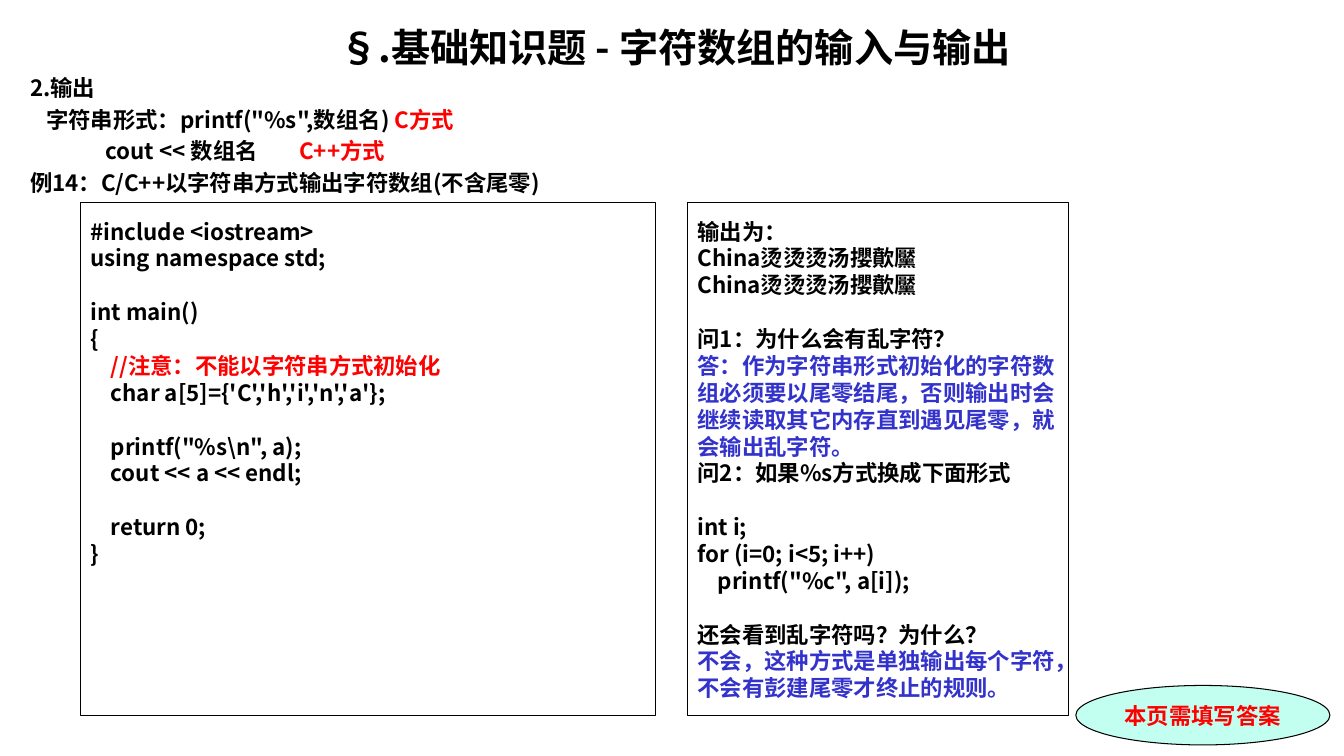
from lxml import etree
from pptx import Presentation
from pptx.dml.color import RGBColor
from pptx.enum import shapes, text
from pptx.oxml.ns import qn
from pptx.util import Inches, Pt

BLACK = RGBColor(0x00, 0x00, 0x00)
RED = RGBColor(0xFF, 0x00, 0x00)
BLUE = RGBColor(0x33, 0x33, 0xCC)
MINT = RGBColor(0xC2, 0xFF, 0xF0)
SANS = "Noto Sans CJK SC"
SERIF = "Times New Roman"
BODY = 16
LEADING = 1.2

# Each entry is one line: text, colour, and blank lines above it
PROGRAM = [
    ("#include <iostream>", BLACK, 0),
    ("using namespace std;", BLACK, 0),
    ("int main()", BLACK, 1),
    ("{", BLACK, 0),
    ("    //注意：不能以字符串方式初始化", RED, 0),
    ("    char a[5]={'C','h','i','n','a'};", BLACK, 0),
    ("    printf(\"%s\\n\", a);", BLACK, 1),
    ("    cout << a << endl;", BLACK, 0),
    ("    return 0;", BLACK, 1),
    ("}", BLACK, 0),
]
ANSWERS = [
    ("输出为：", BLACK, 0),
    ("China烫烫烫汤攖歕黶", BLACK, 0),
    ("China烫烫烫汤攖歕黶", BLACK, 0),
    ("问1：为什么会有乱字符？", BLACK, 1),
    ("答：作为字符串形式初始化的字符数", BLUE, 0),
    ("组必须要以尾零结尾，否则输出时会", BLUE, 0),
    ("继续读取其它内存直到遇见尾零，就", BLUE, 0),
    ("会输出乱字符。", BLUE, 0),
    ("问2：如果%s方式换成下面形式", BLACK, 0),
    ("int i;", BLACK, 1),
    ("for (i=0; i<5; i++)", BLACK, 0),
    ("    printf(\"%c\", a[i]);", BLACK, 0),
    ("还会看到乱字符吗？为什么？", BLACK, 1),
    ("不会，这种方式是单独输出每个字符，", BLUE, 0),
    ("不会有彭建尾零才终止的规则。", BLUE, 0),
]


def add_run(paragraph, words, size=BODY, color=BLACK, font=SANS):
    run = paragraph.add_run()
    run.text = words
    run.font.size = Pt(size)
    run.font.bold = True
    run.font.color.rgb = color
    run.font.name = font
    east_asian = etree.Element(qn("a:ea"), typeface=SANS)
    run.font._element.find(qn("a:latin")).addnext(east_asian)


def add_line(frame, *pieces, size=BODY, before=0, indent=0, tabs=(),
             align=text.PP_ALIGN.LEFT, font=SANS):
    """Write one paragraph from (words, colour) pieces."""
    first = frame.paragraphs[0]
    paragraph = frame.add_paragraph() if first.runs else first
    paragraph.alignment = align
    paragraph.line_spacing = Pt(size * LEADING)
    if before:
        paragraph.space_before = Pt(before)
    properties = paragraph._p.get_or_add_pPr()
    if indent:
        properties.set("marL", str(Inches(indent)))
        properties.set("indent", "0")
    if tabs:
        tab_list = etree.SubElement(properties, qn("a:tabLst"))
        for stop in tabs:
            etree.SubElement(tab_list, qn("a:tab"), pos=str(Inches(stop)), algn="l")
    for words, color in pieces:
        add_run(paragraph, words, size=size, color=color, font=font)


def add_outlined(slide, kind, left, top, width, height, fill=None):
    shape = slide.shapes.add_shape(
        kind, Inches(left), Inches(top), Inches(width), Inches(height))
    shape.shadow.inherit = False
    if fill is None:
        shape.fill.background()
    else:
        shape.fill.solid()
        shape.fill.fore_color.rgb = fill
    shape.line.color.rgb = BLACK
    shape.line.width = Pt(0.75)
    return shape


def add_listing(slide, left, width, lines):
    panel = add_outlined(slide, shapes.MSO_SHAPE.RECTANGLE, left, 2.01, width, 5.09)
    frame = panel.text_frame
    frame.word_wrap = False
    frame.vertical_anchor = text.MSO_ANCHOR.TOP
    frame.margin_top = Inches(0.15)
    for words, color, blanks in lines:
        add_line(frame, (words, color), before=blanks * BODY * LEADING)


def add_heading(slide):
    heading = slide.shapes.add_textbox(
        Inches(0.2), Inches(0.18), Inches(12.99), Inches(1.83))
    frame = heading.text_frame
    frame.word_wrap = True
    gap = BODY * 0.2
    add_line(frame, ("§.基础知识题 - 字符数组的输入与输出", BLACK),
             size=28, align=text.PP_ALIGN.CENTER)
    add_line(frame, ("2.输出", BLACK), before=gap)
    add_line(frame, ("字符串形式：printf(\"%s\",数组名) ", BLACK), ("C方式", RED),
             before=gap, indent=0.16)
    add_line(frame, ("\tcout << 数组名", BLACK), ("\tC++方式", RED),
             before=gap, tabs=(0.75, 2.67))
    add_line(frame, ("例14：C/C++以字符串方式输出字符数组(不含尾零)", BLACK), before=gap)


def add_reminder(slide):
    reminder = add_outlined(
        slide, shapes.MSO_SHAPE.OVAL, 10.67, 6.8, 2.52, 0.59, fill=MINT)
    reminder.text_frame.vertical_anchor = text.MSO_ANCHOR.MIDDLE
    add_line(reminder.text_frame, ("本页需填写答案", RED),
             align=text.PP_ALIGN.CENTER, font=SERIF)


def main():
    deck = Presentation()
    deck.slide_width = Inches(13.33)
    deck.slide_height = Inches(7.5)
    slide = deck.slides.add_slide(deck.slide_layouts[6])

    # Title and output forms
    add_heading(slide)
    # Reminder badge
    add_reminder(slide)
    # Program on the left, output and questions on the right
    add_listing(slide, 0.8, 5.7, PROGRAM)
    add_listing(slide, 6.82, 3.78, ANSWERS)

    deck.save("out.pptx")


if __name__ == "__main__":
    main()
